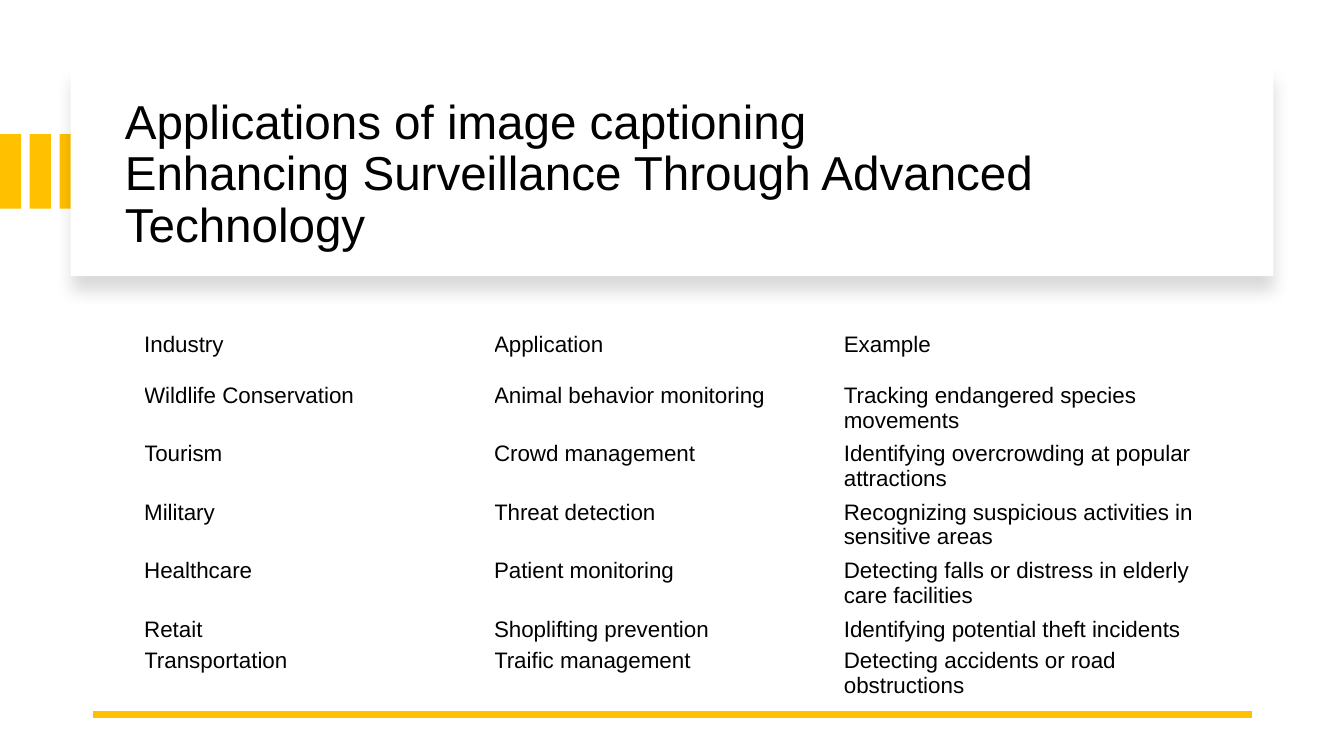
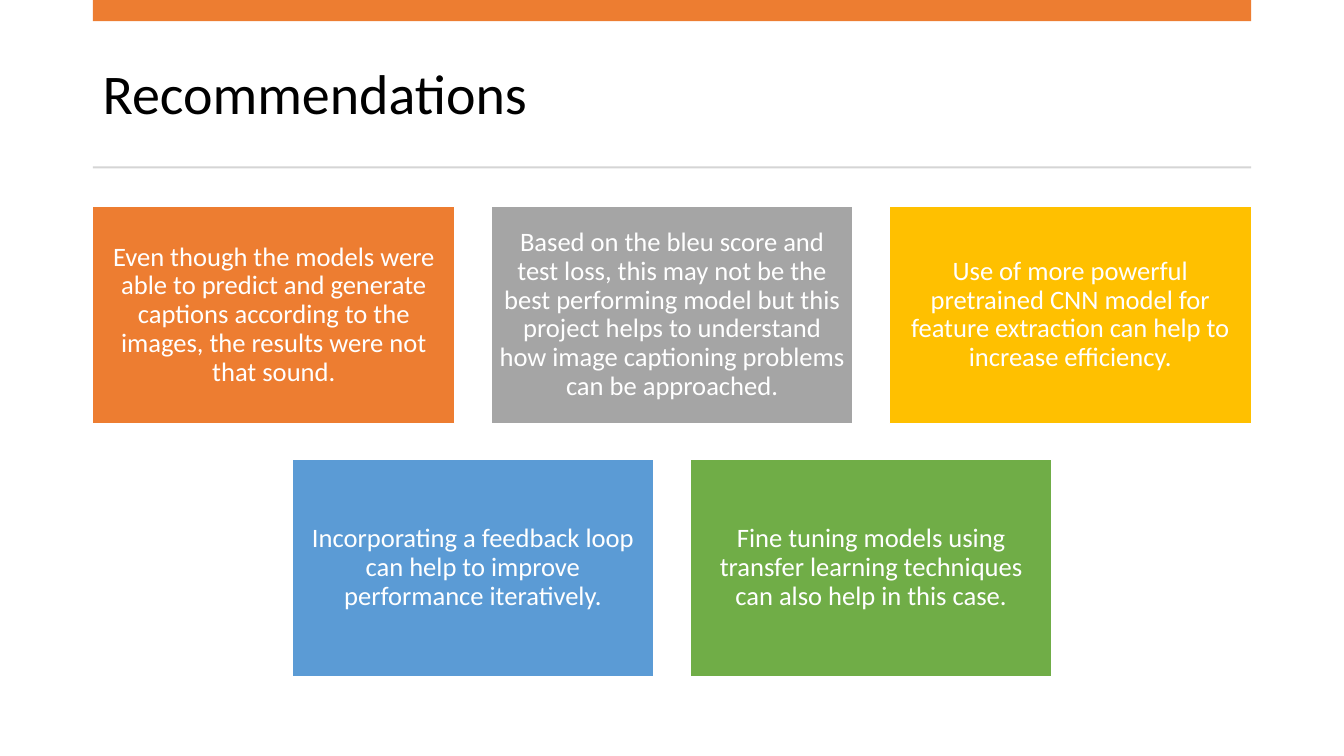
"""Build two slides: a table of image captioning uses and a grid of recommendations."""
from dataclasses import dataclass
from typing import Sequence

from lxml.etree import SubElement
from pptx import Presentation
from pptx.dml.color import RGBColor
from pptx.enum.shapes import MSO_CONNECTOR, MSO_SHAPE
from pptx.enum.text import MSO_ANCHOR as Anchor, PP_ALIGN as Align
from pptx.oxml import parse_xml
from pptx.oxml.ns import nsdecls, qn
from pptx.shapes.autoshape import Shape
from pptx.slide import Slide
from pptx.text.text import TextFrame, _Paragraph as Paragraph
from pptx.util import Inches, Pt

COLORS = {
    "black": "000000",
    "white": "FFFFFF",
    "orange": "ED7D31",
    "gray": "A5A5A5",
    "gold": "FFC000",
    "blue": "5B9BD5",
    "green": "70AD47",
    "rule": "D5D5D5",
}
SLIDE_WIDTH, SLIDE_HEIGHT = 13.33, 7.5
MARGIN, CONTENT_WIDTH = 0.92, 11.49


@dataclass(frozen=True)
class Box:
    left: float
    top: float
    width: float
    height: float

    def lengths(self) -> list[Inches]:
        return [Inches(n) for n in (self.left, self.top, self.width, self.height)]


@dataclass(frozen=True)
class TextStyle:
    font: str
    size: int
    color: str
    align: Align = Align.LEFT
    line_spacing: float = 0.9


@dataclass(frozen=True)
class Card:
    text: str
    color: str


ARIAL_TITLE = TextStyle("Arial", 34, "black")
CALIBRI_TITLE = TextStyle("Calibri", 40, "black")
TABLE_TEXT = TextStyle("Arial", 16, "black", line_spacing=1.0)
CARD_TEXT = TextStyle("Calibri", 19, "white", Align.CENTER)

TABLE_ROWS = [
    ("Industry", "Application", "Example"),
    ("Wildlife Conservation", "Animal behavior monitoring", "Tracking endangered species movements"),
    ("Tourism", "Crowd management", "Identifying overcrowding at popular attractions"),
    ("Military", "Threat detection", "Recognizing suspicious activities in sensitive areas"),
    ("Healthcare", "Patient monitoring", "Detecting falls or distress in elderly care facilities"),
    ("Retait", "Shoplifting prevention", "Identifying potential theft incidents"),
    ("Transportation", "Traific management", "Detecting accidents or road obstructions"),
]
COLUMN_WIDTHS = [3.47, 3.47, 3.54]
ROW_HEIGHTS = [0.5, 0.58, 0.58, 0.58, 0.58, 0.31, 0.58]

CARD_ROWS = [
    [
        Card("Even though the models were able to predict and generate captions according to "
             "the images, the results were not that sound.", "orange"),
        Card("Based on the bleu score and test loss, this may not be the best performing model "
             "but this project helps to understand how image captioning problems can be "
             "approached.", "gray"),
        Card("Use of more powerful pretrained CNN model for feature extraction can help to "
             "increase efficiency.", "gold"),
    ],
    [
        Card("Incorporating a feedback loop can help to improve performance iteratively.", "blue"),
        Card("Fine tuning models using transfer learning techniques can also help in this case.",
             "green"),
    ],
]
CARD_WIDTH, CARD_HEIGHT, CARD_GAP = 3.59, 2.15, 0.36


def rgb(name: str) -> RGBColor:
    return RGBColor.from_string(COLORS[name])


def style_paragraph(paragraph: Paragraph, style: TextStyle) -> None:
    paragraph.alignment = style.align
    paragraph.line_spacing = style.line_spacing
    paragraph.font.name = style.font
    paragraph.font.size = Pt(style.size)
    paragraph.font.color.rgb = rgb(style.color)


def write_text(frame: TextFrame, lines: Sequence[str], style: TextStyle) -> None:
    frame.word_wrap = True
    frame.text = "\n".join(lines)
    for paragraph in frame.paragraphs:
        style_paragraph(paragraph, style)


def add_rectangle(slide: Slide, box: Box, color: str) -> Shape:
    shape = slide.shapes.add_shape(MSO_SHAPE.RECTANGLE, *box.lengths())
    shape.shadow.inherit = False
    shape.fill.solid()
    shape.fill.fore_color.rgb = rgb(color)
    shape.line.fill.background()
    return shape


def add_soft_shadow(shape: Shape) -> None:
    properties = shape.element.spPr
    properties.remove(properties.find(qn("a:effectLst")))
    properties.append(parse_xml(
        f'<a:effectLst {nsdecls("a")}>'
        f'<a:outerShdw blurRad="{Pt(11)}" dist="{Pt(10)}" dir="5400000" rotWithShape="0">'
        f'<a:srgbClr val="{COLORS["black"]}"><a:alpha val="15000"/></a:srgbClr>'
        '</a:outerShdw></a:effectLst>'
    ))


def add_title(slide: Slide, box: Box, lines: Sequence[str], style: TextStyle) -> None:
    frame = slide.shapes.add_textbox(*box.lengths()).text_frame
    frame.vertical_anchor = Anchor.MIDDLE
    write_text(frame, lines, style)


def add_line(slide: Slide, start: float, end: float, y: float, color: str, points: float) -> None:
    line = slide.shapes.add_connector(
        MSO_CONNECTOR.STRAIGHT, Inches(start), Inches(y), Inches(end), Inches(y))
    line.line.color.rgb = rgb(color)
    line.line.width = Pt(points)
    SubElement(line.element.spPr, qn("a:effectLst"))


def add_plain_table(slide: Slide, left: float, top: float) -> None:
    box = Box(left, top, sum(COLUMN_WIDTHS), sum(ROW_HEIGHTS))
    table = slide.shapes.add_table(
        len(ROW_HEIGHTS), len(COLUMN_WIDTHS), *box.lengths()).table
    table.first_row = table.horz_banding = False
    for column, width in zip(table.columns, COLUMN_WIDTHS):
        column.width = Inches(width)
    for row, height, texts in zip(table.rows, ROW_HEIGHTS, TABLE_ROWS):
        row.height = Inches(height)
        for cell, text in zip(row.cells, texts):
            cell.fill.background()
            cell.margin_left = cell.margin_right = cell.margin_top = cell.margin_bottom = 0
            write_text(cell.text_frame, [text], TABLE_TEXT)


def add_card(slide: Slide, box: Box, card: Card) -> None:
    shape = add_rectangle(slide, box, card.color)
    shape.line.color.rgb = rgb("white")
    shape.line.width = Pt(1)
    frame = shape.text_frame
    frame.vertical_anchor = Anchor.MIDDLE
    frame.margin_left = frame.margin_right = Inches(0.08)
    frame.margin_top = frame.margin_bottom = Inches(0.08)
    write_text(frame, [card.text], CARD_TEXT)


def build_applications(slide: Slide) -> None:
    for index in range(3):
        add_rectangle(slide, Box(index * 0.59 / 2, 1.33, 0.21, 0.74), "gold")
    add_soft_shadow(add_rectangle(slide, Box(0.7, 0.67, 11.93, 2.07), "white"))
    add_title(
        slide,
        Box(1.14, 0.89, 11.13, 1.7),
        ["Applications of image captioning",
         "Enhancing Surveillance Through Advanced Technology"],
        ARIAL_TITLE,
    )
    add_line(slide, MARGIN, 12.42, 7.09, "gold", 4.5)
    add_plain_table(slide, 1.43, 3.3)


def build_recommendations(slide: Slide) -> None:
    add_title(slide, Box(MARGIN, 0.37, CONTENT_WIDTH, 1.18), ["Recommendations"], CALIBRI_TITLE)
    add_rectangle(slide, Box(MARGIN, 0, CONTENT_WIDTH, 0.21), "orange")
    add_rectangle(slide, Box(MARGIN, 1.65, CONTENT_WIDTH, 0.02), "rule")
    for row_index, cards in enumerate(CARD_ROWS):
        row_width = len(cards) * (CARD_WIDTH + CARD_GAP) - CARD_GAP
        left = MARGIN + (CONTENT_WIDTH - row_width) / 2
        top = 2.05 + row_index * (CARD_HEIGHT + CARD_GAP)
        for index, card in enumerate(cards):
            card_left = left + index * (CARD_WIDTH + CARD_GAP)
            add_card(slide, Box(card_left, top, CARD_WIDTH, CARD_HEIGHT), card)


def main() -> None:
    presentation = Presentation()
    presentation.slide_width = Inches(SLIDE_WIDTH)
    presentation.slide_height = Inches(SLIDE_HEIGHT)
    blank_layout = presentation.slide_layouts[6]
    for build in (build_applications, build_recommendations):
        build(presentation.slides.add_slide(blank_layout))
    presentation.save("out.pptx")


if __name__ == "__main__":
    main()
